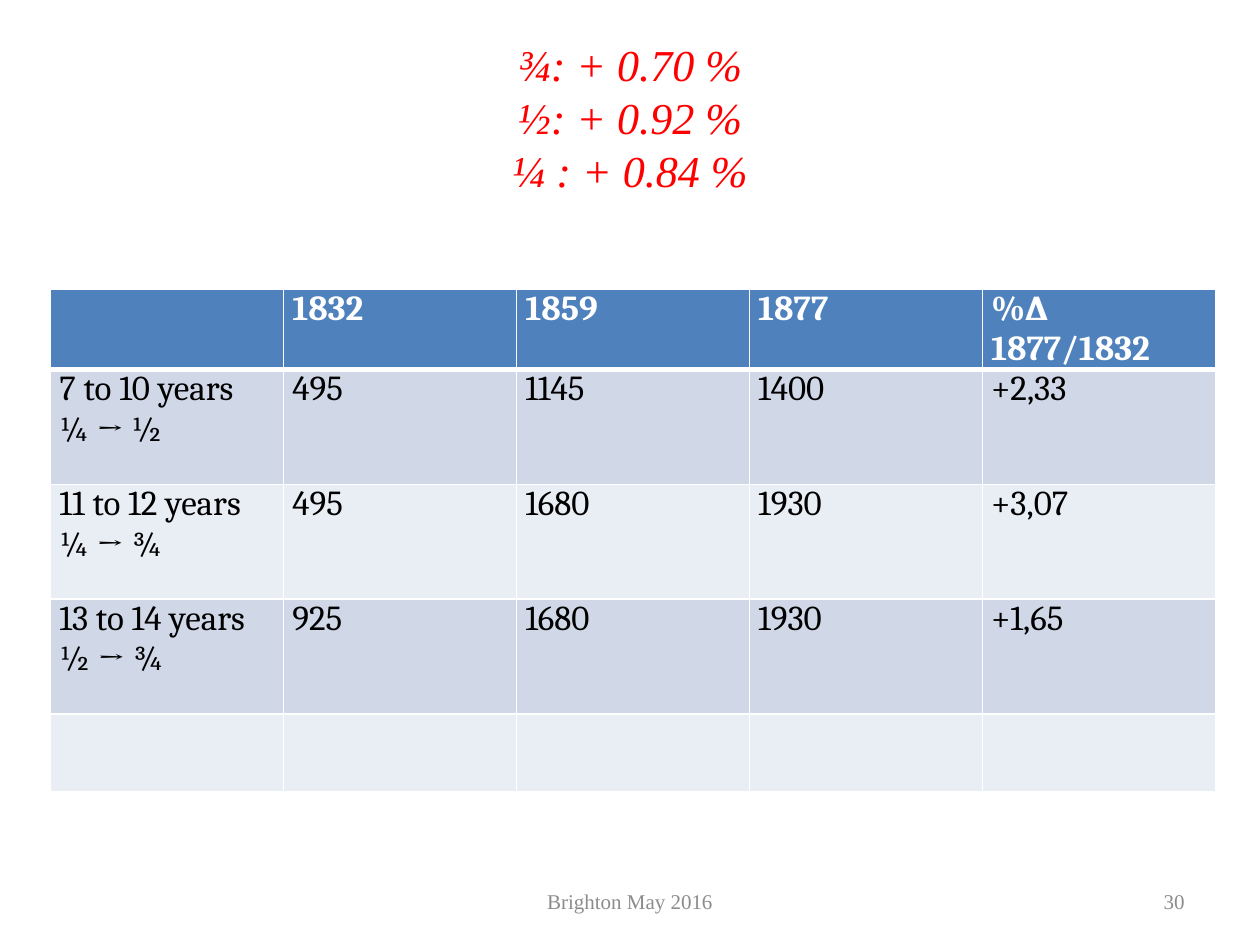
from typing import NamedTuple

from lxml import etree
from pptx import Presentation
from pptx.dml.color import RGBColor
from pptx.enum.text import MSO_ANCHOR, MSO_AUTO_SIZE, PP_ALIGN
from pptx.oxml.ns import qn
from pptx.util import Pt

LEFT, CENTER, RIGHT = PP_ALIGN.LEFT, PP_ALIGN.CENTER, PP_ALIGN.RIGHT
MIDDLE = MSO_ANCHOR.MIDDLE
NO_FIT = MSO_AUTO_SIZE.NONE
SERIF, TABLE_FONT = "Times New Roman", "Cambria"
WHITE, BLACK, RED, GREY = "FFFFFF", "000000", "FF0000", "8C8C8C"
HEADER_FILL, BAND_FILLS = "4F81BD", ("D0D8E8", "E9EDF4")

TITLE = "¾: + 0.70 %\n½: + 0.92 %\n¼ : + 0.84 %"
ROWS = [
    ["", "1832", "1859", "1877", "%∆ 1877/1832"],
    ["7 to 10 years\n¼ → ½", "495", "1145", "1400", "+2,33"],
    ["11 to 12 years\n¼ → ¾", "495", "1680", "1930", "+3,07"],
    ["13 to 14 years\n½ → ¾", "925", "1680", "1930", "+1,65"],
    ["", "", "", "", ""],
]
ROW_HEIGHTS = [45, 65.6, 65.6, 65.6, 44.6]
COLUMN_WIDTH = 133.1


class FooterText(NamedTuple):
    text: str
    left: float
    width: float
    align: PP_ALIGN


FOOTERS = [
    FooterText("Brighton May 2016", 246, 228, CENTER),
    FooterText("30", 516, 168, RIGHT),
]


def color(value: str) -> RGBColor:
    return RGBColor.from_string(value)


def write(frame, text: str, *, size: float, font: str, fill: str, align=LEFT,
          bold=False, italic=False) -> None:
    """Fill a text frame, one paragraph for each line of the text."""
    frame.text = text
    for para in frame.paragraphs:
        para.alignment = align
        for span in para.runs:
            span.font.size = Pt(size)
            span.font.name = font
            span.font.bold = bold
            span.font.italic = italic
            span.font.color.rgb = color(fill)


def add_border(cell, side: str, width: float) -> None:
    line = etree.SubElement(cell._tc.get_or_add_tcPr(), qn(f"a:ln{side}"), w=str(Pt(width)))
    solid = etree.SubElement(line, qn("a:solidFill"))
    etree.SubElement(solid, qn("a:srgbClr"), val=WHITE)


def style_cell(cell, text: str, row: int) -> None:
    header = row == 0
    cell.margin_left = cell.margin_right = Pt(5)
    cell.margin_top = cell.margin_bottom = 0
    write(cell.text_frame, text, size=20, font=TABLE_FONT,
          fill=WHITE if header else BLACK, bold=header)
    for side in "LRTB":
        thick = (header and side == "B") or (row == 1 and side == "T")
        add_border(cell, side, 3 if thick else 1)
    cell.fill.solid()
    cell.fill.fore_color.rgb = color(HEADER_FILL if header else BAND_FILLS[(row - 1) % 2])


def add_wage_table(page) -> None:
    columns = len(ROWS[0])
    table = page.shapes.add_table(len(ROWS), columns, Pt(29), Pt(165),
                                  Pt(COLUMN_WIDTH * columns), Pt(sum(ROW_HEIGHTS))).table
    for column in table.columns:
        column.width = Pt(COLUMN_WIDTH)
    for row, (texts, height) in enumerate(zip(ROWS, ROW_HEIGHTS)):
        table.rows[row].height = Pt(height)
        for column, text in enumerate(texts):
            style_cell(table.cell(row, column), text, row)


def add_title(page) -> None:
    title = page.shapes.title
    title.left, title.top, title.width, title.height = Pt(36), Pt(21.6), Pt(648), Pt(90)
    frame = title.text_frame
    frame.auto_size = NO_FIT
    frame.vertical_anchor = MIDDLE
    write(frame, TITLE.replace("\n", "\v"), size=25.2, font=SERIF, fill=RED,
          align=CENTER, italic=True)
    frame.paragraphs[0].line_spacing = Pt(30.3)


def add_footer(page, footer: FooterText) -> None:
    box = page.shapes.add_textbox(Pt(footer.left), Pt(500.5), Pt(footer.width), Pt(28.75))
    frame = box.text_frame
    frame.word_wrap = True
    frame.vertical_anchor = MIDDLE
    write(frame, footer.text, size=12, font=SERIF, fill=GREY, align=footer.align)


def main() -> None:
    deck = Presentation()
    deck.slide_width, deck.slide_height = Pt(720), Pt(540)
    page = deck.slides.add_slide(deck.slide_layouts.get_by_name("Title Only"))
    add_title(page)
    add_wage_table(page)
    for footer in FOOTERS:
        add_footer(page, footer)
    deck.save("out.pptx")


if __name__ == "__main__":
    main()
